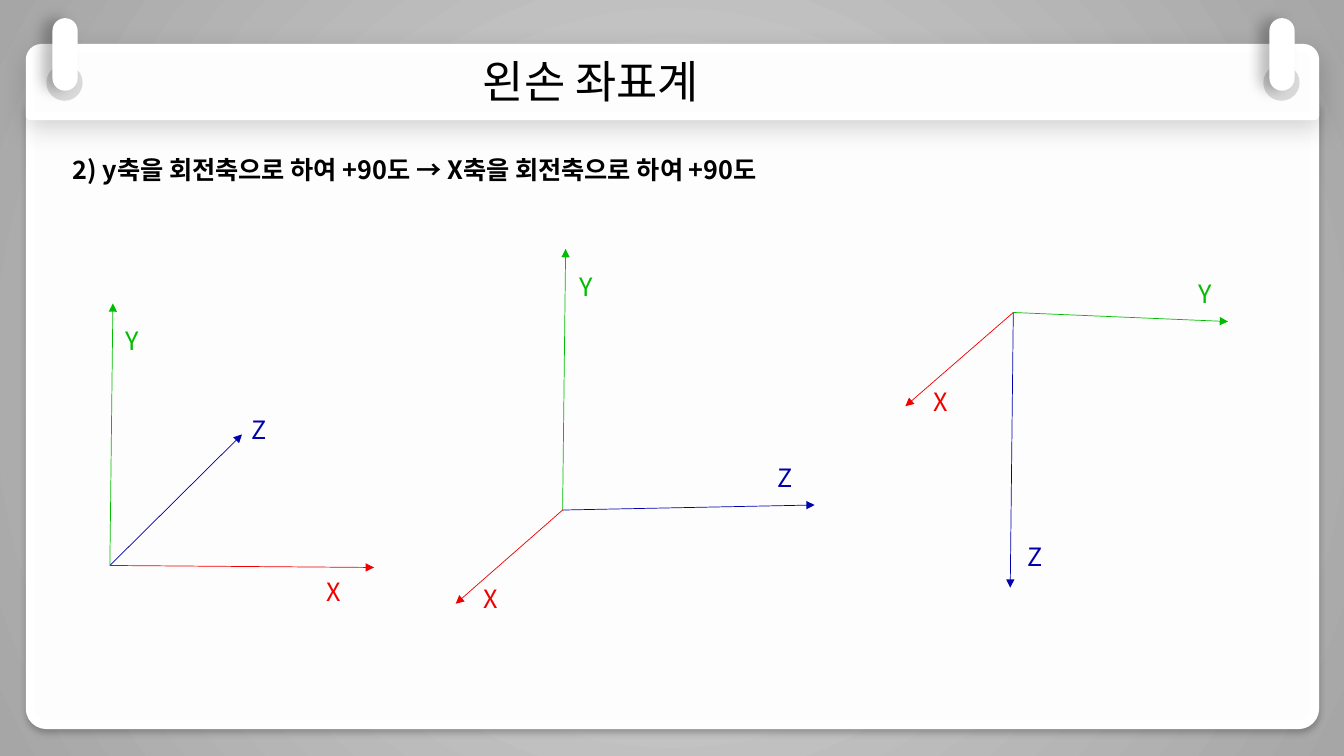
from pptx import Presentation
from pptx.dml.color import RGBColor
from pptx.enum.shapes import MSO_CONNECTOR, MSO_SHAPE
from pptx.oxml import parse_xml
from pptx.oxml.ns import nsdecls, qn
from pptx.util import Emu, Pt
from lxml import etree

LINE = MSO_CONNECTOR.STRAIGHT
OVAL = MSO_SHAPE.OVAL
PILL = MSO_SHAPE.ROUNDED_RECTANGLE
PANEL = MSO_SHAPE.ROUND_2_SAME_RECTANGLE

SCALE = 9144  # 100 px to the inch
FONT = "Noto Sans CJK KR"
COLORS = {
    "glow": "D9D9D9", "edge": "A6A6A6", "paper": "FDFDFD", "white": "FFFFFF",
    "text": "000000", "X": "F10000", "Y": "00BD00", "Z": "0000AE",
}

# Each frame: origin, then axis name -> (arrow tip, label corner)
FRAMES = [
    ((109, 561), {"Z": ((240, 431), (240, 406)),
                  "Y": ((112, 301), (115, 318)),
                  "X": ((371, 563), (314, 567))}),
    ((558, 506), {"Z": ((808, 501), (761, 454)),
                  "Y": ((561, 247), (565, 264)),
                  "X": ((452, 599), (470, 574))}),
    ((1005, 310), {"Z": ((1002, 583), (1009, 532)),
                   "Y": ((1218, 319), (1179, 271)),
                   "X": ((898, 403), (916, 378))}),
]


def px(*values):
    return [Emu(value * SCALE) for value in values]


def tint(name):
    return RGBColor.from_string(COLORS[name])


class Board:
    """Holds the current slide and draws on it in one style."""

    def __init__(self, slide):
        self.slide = slide
        self.shapes = slide.shapes

    def backdrop(self):
        """Fill the background with a gradient from the centre outwards."""
        fill = self.slide.background.fill
        fill.gradient()
        for stop, name, place in zip(fill.gradient_stops, ("glow", "edge"), (0, 1)):
            stop.color.rgb = tint(name)
            stop.position = place
        grad = self.slide.element.find(".//" + qn("a:gradFill"))
        grad.replace(grad.find(qn("a:lin")), parse_xml(
            f'<a:path {nsdecls("a")} path="circle">'
            '<a:fillToRect l="50000" t="50000" r="50000" b="50000"/></a:path>'))

    def shape(self, kind, box, fill, edge=None, adjust=(), shade=None):
        """Draw a preset shape; shade is opacity %, blur pt, distance pt, angle."""
        shape = self.shapes.add_shape(kind, *px(*box))
        shape.shadow.inherit = False
        shape.fill.solid()
        shape.fill.fore_color.rgb = tint(fill)
        if edge:
            shape.line.color.rgb = tint(edge)
            shape.line.width = Pt(6.25)
        else:
            shape.line.fill.background()
        for index, value in enumerate(adjust):
            shape.adjustments[index] = value
        if shade:
            alpha, blur, gap, angle = shade
            effects = shape.element.spPr.find(qn("a:effectLst"))
            effects.append(parse_xml(
                f'<a:outerShdw {nsdecls("a")} blurRad="{Pt(blur)}" dist="{Pt(gap)}" '
                f'dir="{angle * 60000}" algn="ctr" rotWithShape="0">'
                f'<a:srgbClr val="{COLORS["text"]}"><a:alpha val="{alpha * 1000}"/>'
                '</a:srgbClr></a:outerShdw>'))

    def text(self, box, words, size, color="text", bold=False):
        frame = self.shapes.add_textbox(*px(*box)).text_frame
        frame.word_wrap = True
        run = frame.paragraphs[0].add_run()
        run.text = words
        font = run.font
        font.name, font.size, font.bold = FONT, Pt(size), bold
        font.color.rgb = tint(color)
        east = etree.SubElement(run._r.get_or_add_rPr(), qn("a:ea"))
        east.set("typeface", FONT)

    def arrow(self, start, end, color):
        arrow = self.shapes.add_connector(LINE, *px(*start, *end))
        arrow.line.color.rgb = tint(color)
        arrow.line.width = Pt(0.5)
        tail = etree.SubElement(arrow.line._get_or_add_ln(), qn("a:tailEnd"))
        tail.set("type", "triangle")
        etree.SubElement(arrow.element.spPr, qn("a:effectLst"))

    def axes(self, origin, parts):
        for name, (tip, _) in parts.items():
            self.arrow(origin, tip, name)
        for name, (_, corner) in parts.items():
            self.text((*corner, 41, 50), name, 18, name)


def main():
    deck = Presentation()
    deck.slide_width, deck.slide_height = px(1333, 750)
    board = Board(deck.slides.add_slide(deck.slide_layouts[6]))

    board.backdrop()
    board.shape(PANEL, (30, 106, 1274, 613), "paper", "white", (0, 0.026), (24, 4, 3, 90))
    board.shape(PANEL, (30, 48, 1274, 67), "paper", "white", shade=(17, 18, 5, 90))
    for left in (46, 1253):
        board.shape(OVAL, (left, 64, 36, 36), "glow")
        board.shape(PILL, (left + 6, 18, 25, 72), "white", adjust=(0.5,),
                    shade=(25, 10, 7, 180))

    board.text((469, 48, 401, 64), "왼손 좌표계", 32)
    board.text((62, 148, 741, 40),
               "2) y축을 회전축으로 하여 +90도 → X축을 회전축으로 하여 +90도", 18, bold=True)
    for origin, parts in FRAMES:
        board.axes(origin, parts)

    deck.save("out.pptx")


if __name__ == "__main__":
    main()
